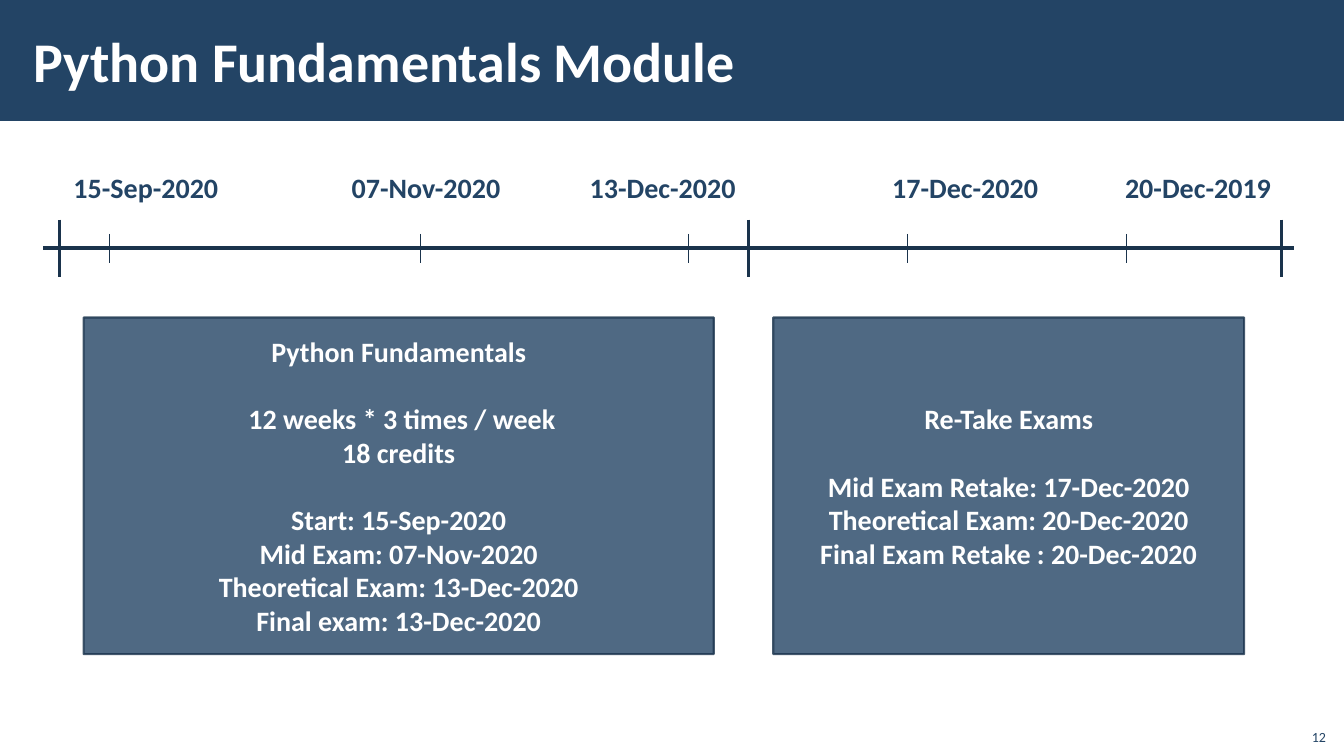
"""Build the course timeline slide with its two exam panels."""
from lxml.etree import SubElement
from pptx import Presentation
from pptx.dml.color import RGBColor
from pptx.enum.shapes import MSO_CONNECTOR as CONN, MSO_SHAPE as SHAPE
from pptx.enum.text import MSO_ANCHOR as ANCHOR, MSO_AUTO_SIZE as AUTO, PP_ALIGN as ALIGN
from pptx.oxml.ns import qn
from pptx.util import Inches, Pt

NAVY, DARK, WHITE = "234465", "1A334C", "FFFFFF"


def rgb(value):
    return RGBColor.from_string(value)


def write(tf, groups, size, color, align=ALIGN.LEFT, bold=True):
    lines = [(text, i > 0 and j == 0)
             for i, group in enumerate(groups) for j, text in enumerate(group)]
    for n, (text, starts_group) in enumerate(lines):
        p = tf.add_paragraph() if n else tf.paragraphs[0]
        p.alignment = align
        p.space_before = Pt(24 if starts_group else 0)
        r = p.add_run()
        r.text = text
        for name, value in {"size": Pt(size), "bold": bold, "name": "Calibri"}.items():
            setattr(r.font, name, value)
        r.font.color.rgb = rgb(color)


prs = Presentation()
prs.slide_width, prs.slide_height = Inches(13.33), Inches(7.5)
s = prs.slides.add_slide(prs.slide_layouts[5])

band = s.shapes.add_shape(SHAPE.RECTANGLE, 0, 0, prs.slide_width, Inches(1.2))
band.shadow.inherit = False
band.fill.solid()
band.fill.fore_color.rgb = rgb(NAVY)
band.line.fill.background()

title = s.shapes.title
title.element.addprevious(band.element)
for name, value in {"left": 0.21, "top": 0.11, "width": 10.63, "height": 0.97}.items():
    setattr(title, name, Inches(value))
tf = title.text_frame
for name, value in {"margin_left": Inches(0.12), "margin_right": Inches(0.12),
                    "margin_top": Inches(0.04), "margin_bottom": Inches(0.04),
                    "vertical_anchor": ANCHOR.MIDDLE, "auto_size": AUTO.NONE}.items():
    setattr(tf, name, value)
write(tf, [["Python Fundamentals Module"]], 40, WHITE)

AXIS = 2.46
lines = [(0.43, AXIS, 12.83, AXIS, 2.25)]
lines += [(x, AXIS - 0.28, x, AXIS + 0.29, 2.25) for x in (0.59, 7.42, 12.71)]
lines += [(x, AXIS - 0.14, x, AXIS + 0.15, 0.5) for x in (1.08, 4.17, 6.83, 9, 11.17)]
for x1, y1, x2, y2, weight in lines:
    line = s.shapes.add_connector(CONN.STRAIGHT, *map(Inches, (x1, y1, x2, y2)))
    line.line.color.rgb = rgb(DARK)
    line.line.width = Pt(weight)
    SubElement(line.element.spPr, qn("a:effectLst"))

dates = [(0.63, "15-Sep-2020"), (3.39, "07-Nov-2020"), (5.75, "13-Dec-2020"),
         (8.75, "17-Dec-2020"), (11.06, "20-Dec-2019")]
for x, date in dates:
    label = s.shapes.add_textbox(Inches(x), Inches(1.64), Inches(1.72), Inches(0.44))
    label.text_frame.word_wrap = False
    label.text_frame.auto_size = AUTO.NONE
    write(label.text_frame, [[date]], 20, NAVY)

panels = [
    (0.83, 6.25, [["Python Fundamentals"],
                  [" 12 weeks * 3 times / week", "18 credits"],
                  ["Start: 15-Sep-2020", "Mid Exam: 07-Nov-2020",
                   "Theoretical Exam: 13-Dec-2020", "Final exam: 13-Dec-2020"]]),
    (7.67, 4.67, [["Re-Take Exams"],
                  ["Mid Exam Retake: 17-Dec-2020", "Theoretical Exam: 20-Dec-2020",
                   "Final Exam Retake : 20-Dec-2020"]]),
]
for x, width, groups in panels:
    panel = s.shapes.add_shape(SHAPE.RECTANGLE, *map(Inches, (x, 3.15, width, 3.34)))
    panel.shadow.inherit = False
    panel.fill.solid()
    panel.fill.fore_color.rgb = rgb(NAVY)
    panel.line.color.rgb = rgb(DARK)
    panel.line.width = Pt(1.5)
    for color in panel.element.spPr.iter(qn("a:srgbClr")):
        SubElement(color, qn("a:alpha"), val="80000")
    tf = panel.text_frame
    tf.word_wrap = True
    tf.vertical_anchor = ANCHOR.MIDDLE
    write(tf, groups, 20, WHITE, ALIGN.CENTER)

number = s.shapes.add_textbox(*map(Inches, (12.85, 7.12, 0.4, 0.32)))
number.text_frame.word_wrap = True
number.text_frame.vertical_anchor = ANCHOR.BOTTOM
write(number.text_frame, [["12"]], 10, NAVY, ALIGN.RIGHT, bold=False)

prs.save("out.pptx")
